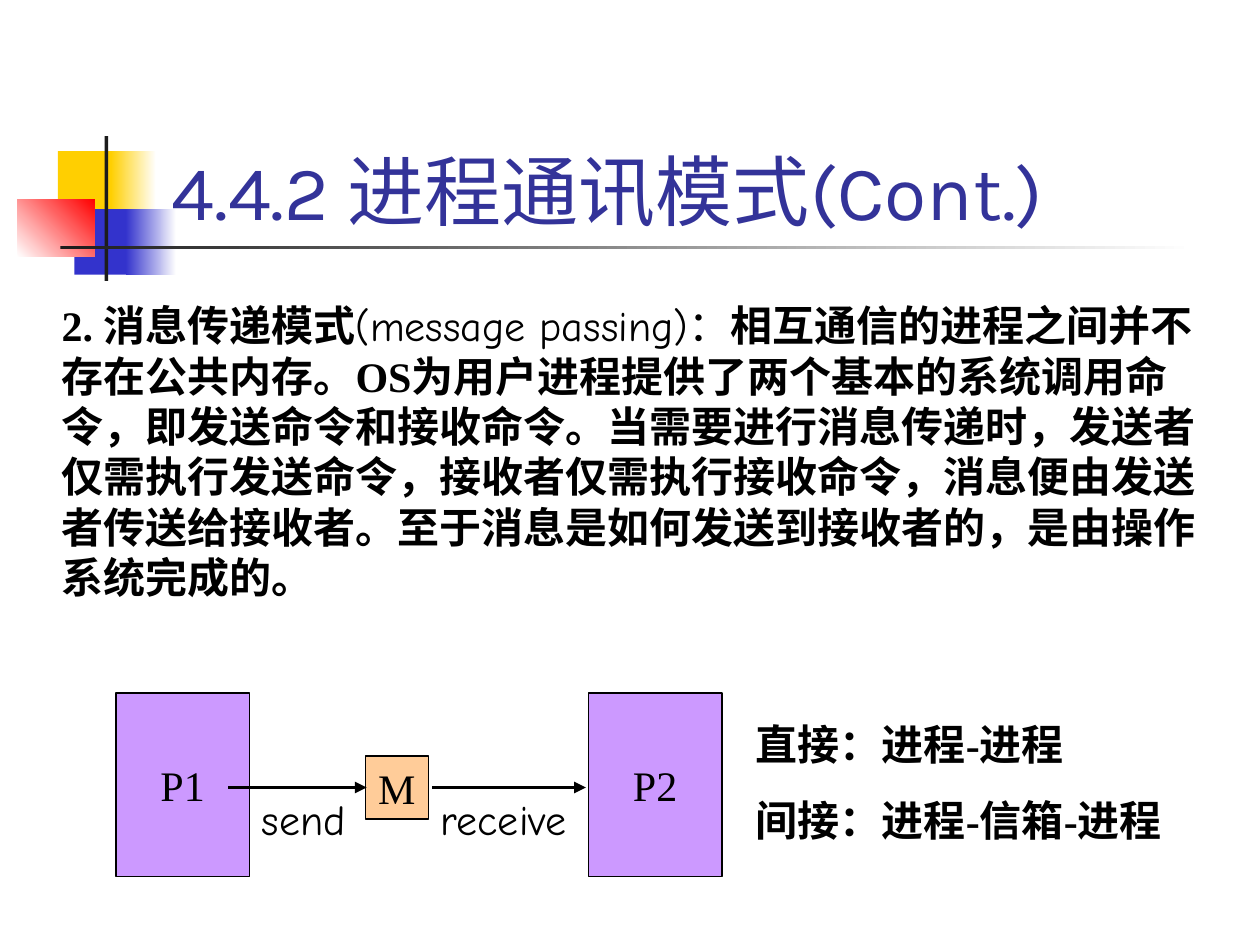
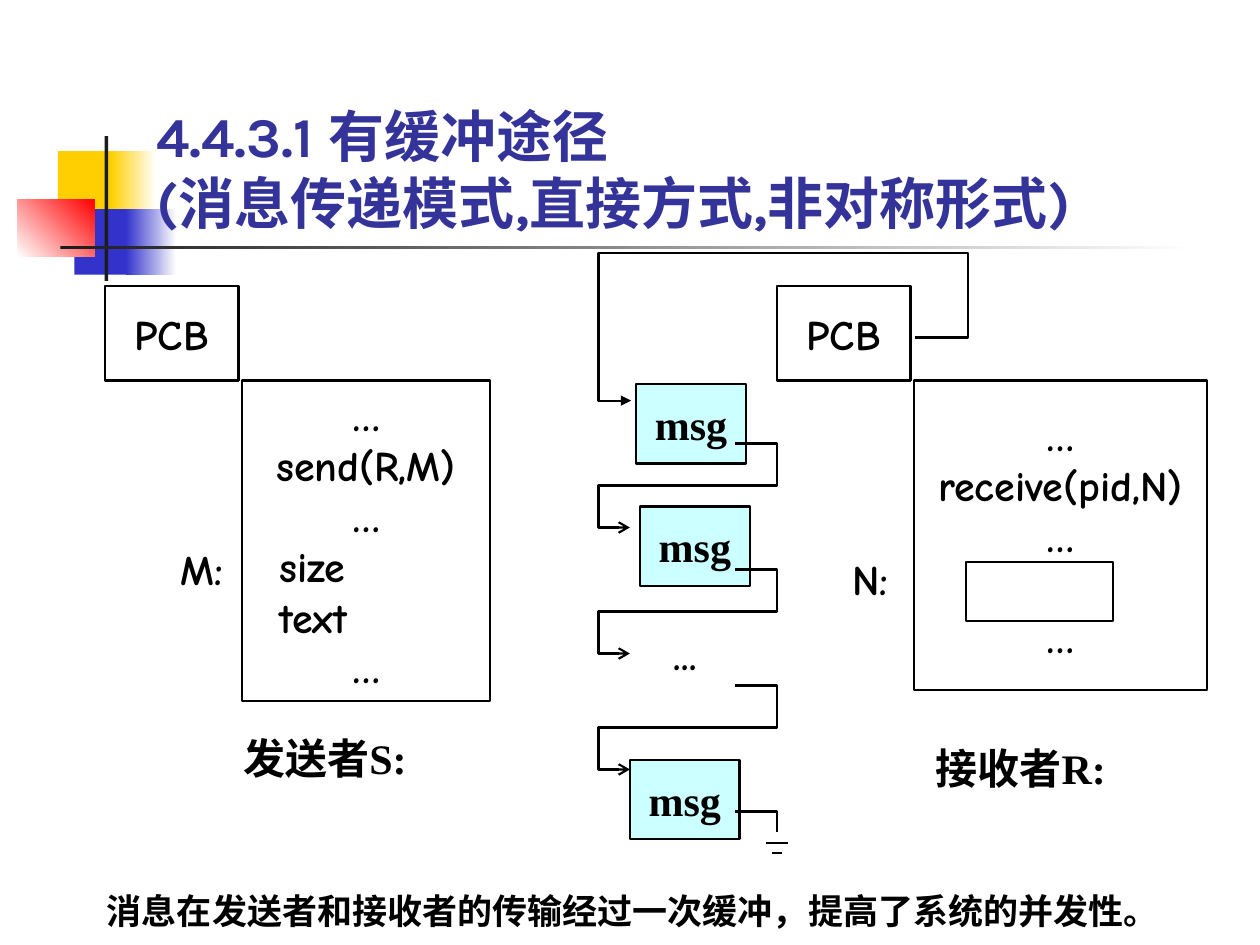
from collections import namedtuple

from lxml.etree import SubElement
from pptx import Presentation
from pptx.dml.color import RGBColor
from pptx.enum.shapes import MSO_CONNECTOR, MSO_SHAPE
from pptx.enum.text import MSO_ANCHOR, MSO_AUTO_SIZE, PP_ALIGN
from pptx.oxml.ns import qn
from pptx.util import Inches, Pt

COLORS = {
    "ink": "000000", "paper": "FFFFFF", "title": "333399", "yellow": "FFCF01",
    "blue": "3333CC", "red": "FF0000", "rule": "1C1C1C", "process": "CC99FF",
    "mailbox": "FFCC99", "message": "CCFFFF",
}
FONTS = {
    "title": {"name": "Karla", "size": Pt(44), "bold": False},
    "subtitle": {"name": "Karla", "size": Pt(32), "bold": True},
    "caption": {"name": "Karla", "size": Pt(20), "bold": True},
    "body": {"name": "Times New Roman", "size": Pt(24), "bold": True},
    "node": {"name": "Times New Roman", "size": Pt(24), "bold": False},
    "label": {"name": "Comic Neue", "size": Pt(24), "bold": False},
    "code": {"name": "Comic Neue", "size": Pt(24), "bold": True},
}
TITLE_FRAME = {"word_wrap": True, "auto_size": MSO_AUTO_SIZE.NONE,
               "vertical_anchor": MSO_ANCHOR.BOTTOM}
TEXT_FRAME = {"word_wrap": True, "vertical_anchor": MSO_ANCHOR.TOP}
NODE_FRAME = {"word_wrap": False, "vertical_anchor": MSO_ANCHOR.MIDDLE}
CELL = Inches(1) / 12
THIN, MEDIUM, THICK = Pt(0.75), Pt(1.25), Pt(2.25)


class Box(namedtuple("Box", "left top width height")):
    """Area measured in grid cells, 120 columns by 90 rows to the slide."""

    def inner(self, column, row, width, height):
        """Return an area placed relative to this one."""
        return Box(self.left + column, self.top + row, width, height)

    def point(self, column, row):
        """Return a position inside this area in slide units."""
        return cells(self.left + column), cells(self.top + row)

    def lengths(self):
        """Return the area in slide units."""
        return [cells(value) for value in self]


BAND = Box(1.68, 12.96, 112, 14)


def cells(count):
    """Convert grid cells to slide units."""
    return round(count * CELL)


def color(name):
    """Look up a named colour."""
    return RGBColor.from_string(COLORS[name])


def apply(target, values):
    """Set every attribute in a dict of format values."""
    for name, value in values.items():
        setattr(target, name, value)


def write(shape, lines, font, frame_format, alignment=PP_ALIGN.LEFT, gap=0, ink="ink"):
    """Fill a shape with lines, each one text or a list of text and font pairs."""
    frame = shape.text_frame
    apply(frame, frame_format)
    for index, line in enumerate(lines):
        para = frame.paragraphs[0] if index == 0 else frame.add_paragraph()
        para.alignment = alignment
        if index and gap:
            para.space_before = Pt(gap)
        for text, style in [(line, font)] if isinstance(line, str) else line:
            span = para.add_run()
            span.text = text
            apply(span.font, FONTS[style])
            span.font.color.rgb = color(ink)


def add_text(page, box, lines, font="body", gap=0):
    """Add a wrapping text box."""
    write(page.shapes.add_textbox(*box.lengths()), lines, font, TEXT_FRAME, gap=gap)


def add_rectangle(page, box, fill, fade=None, angle=0):
    """Add a rectangle without outline, solid or fading to a second colour."""
    shape = page.shapes.add_shape(MSO_SHAPE.RECTANGLE, *box.lengths())
    shape.shadow.inherit = False
    shape.line.fill.background()
    if fade:
        shape.fill.gradient()
        shape.fill.gradient_angle = angle
        for stop, name in zip(shape.fill.gradient_stops, (fill, fade)):
            stop.color.rgb = color(name)
    else:
        shape.fill.solid()
        shape.fill.fore_color.rgb = color(fill)
    return shape


def add_node(page, box, lines=(), fill="paper", font="code", width=MEDIUM):
    """Add an outlined rectangle with centred text."""
    node = add_rectangle(page, box, fill)
    set_line(node, width)
    write(node, lines, font, NODE_FRAME, PP_ALIGN.CENTER)
    return node


def set_line(shape, width, arrow=None):
    """Give a shape a black line and an optional arrowhead at its end."""
    shape.line.color.rgb = color("ink")
    shape.line.width = width
    if arrow:
        SubElement(shape.line._get_or_add_ln(), qn("a:tailEnd"), type=arrow)


def add_line(page, box, start, end, width=MEDIUM, arrow=None):
    """Add a straight line between two points of a box."""
    line = page.shapes.add_connector(
        MSO_CONNECTOR.STRAIGHT, *box.point(*start), *box.point(*end))
    set_line(line, width, arrow)
    SubElement(line._element.spPr, qn("a:effectLst"))


def add_link(page, box, points, arrow=None):
    """Add a bent line through points of a box."""
    start, *rest = [box.point(*point) for point in points]
    builder = page.shapes.build_freeform(*start)
    builder.add_line_segments(rest, close=False)
    link = builder.convert_to_shape()
    link.shadow.inherit = False
    link.fill.background()
    set_line(link, MEDIUM, arrow)


def add_band(page, box):
    """Draw the coloured blocks and rules beside the title."""
    for area, *look in (
        ((3.84, 1.44, 5.76, 6.24), "yellow"),
        ((8.88, 1.44, 4.32, 6.24), "yellow", "paper"),
        ((5.4, 6.96, 5.52, 6.24), "blue"),
        ((10.32, 6.96, 4.8, 6.24), "blue", "paper"),
        ((0, 6, 7.32, 5.52), "paper", "red", 45),
        ((8.28, 0, 0.36, 13.8), "rule"),
        ((4.08, 10.44, 108, 0.36), "rule", "paper"),
    ):
        add_rectangle(page, box.inner(*area), *look)


def add_page(deck, box, lines, font):
    """Add a slide with the band and a title above it."""
    page = deck.slides.add_slide(deck.slide_layouts[5])
    add_band(page, BAND)
    title = page.shapes.title
    apply(title, dict(zip(("left", "top", "width", "height"), box.lengths())))
    write(title, lines, font, TITLE_FRAME, ink="title")
    page.shapes._spTree.append(title._element)
    return page


def add_mailbox_diagram(page, box):
    """Draw two processes passing a message through a mailbox."""
    for column, name in ((0, "P1"), (45, "P2")):
        add_node(page, box.inner(column, 0, 12.72, 17.52), [name], "process", "node", THIN)
    add_node(page, box.inner(23.76, 6, 6, 6), ["M"], "mailbox", "node", THIN)
    for start, end in ((10.68, 23.88), (30.12, 44.76)):
        add_line(page, box, (start, 9), (end, 9), THICK, "triangle")
    for column, width, name in ((12.72, 11.04, "send"), (29.76, 17.04, "receive")):
        add_text(page, box.inner(column, 9, width, 6), [name], "label")


def add_process(page, box, code, label, label_row, name, name_column):
    """Draw a process with its PCB, code, variable label and name."""
    add_node(page, box.inner(0, 0, 12.72, 9), ["PCB"])
    listing = add_node(page, box.inner(13.04, 9, box.width - 13.04, box.height - 9), code)
    listing.text_frame.word_wrap = True
    add_text(page, box.inner(6, label_row, 8, 6), [label], "code")
    add_text(page, box.inner(name_column, label_row + 18, 23, 6), [name])
    return listing.text_frame.paragraphs


def add_sender(page, box):
    """Draw the sending process with its message fields indented."""
    code = ["…", "send(R,M)", "…", "size", "text", "…"]
    paras = add_process(page, box, code, "M:", 23.9, "发送者S:", 12)
    for para in paras[3:5]:
        para.alignment = PP_ALIGN.LEFT
        para._p.get_or_add_pPr().set("marL", str(Inches(0.2)))


def add_receiver(page, box):
    """Draw the receiving process with its empty message area."""
    code = ["…", "receive(pid,N)", "…", "…"]
    paras = add_process(page, box, code, "N:", 24.9, "接收者R:", 13.92)
    paras[-1].space_before = Pt(29)
    add_node(page, box.inner(18, 26.28, 14.04, 5.64))


def add_message_queue(page, box):
    """Draw the chain of buffered messages, ending at a ground sign."""
    for column, row in ((3.6, 12.48), (3.96, 24.12), (3, 48.24)):
        add_node(page, box.inner(column, row, 10.44, 7.56), ["msg"], "message", "body")
    add_link(page, box, [(30.12, 8.04), (35.16, 8.04), (35.16, 0), (0, 0),
                         (0, 14.04), (3.12, 14.04)], "triangle")
    for row in (18.12, 30.12, 41.16):
        add_link(page, box, [(13, row), (17, row), (17, row + 4), (0, row + 4),
                             (0, row + 8), (3, row + 8)], "arrow")
    add_text(page, box.inner(6, 35.16, 7, 6), ["..."], "code")
    add_link(page, box, [(13, 53.16), (17, 53.16), (17, 55.08)])
    for half, row in ((1, 56.16), (0.5, 57.12)):
        add_line(page, box, (17 - half, row), (17 + half, row))


def add_mode_page(deck):
    """Build the slide on message passing."""
    page = add_page(deck, Box(15.12, 8.04, 102.24, 15),
                    ["4.4.2 进程通讯模式(Cont.)"], "title")
    add_text(page, Box(4.68, 27.96, 111.48, 30), [[
        ("2. 消息传递模式", "body"),
        ("(message passing)：", "label"),
        ("相互通信的进程之间并不存在公共内存。OS为用户进程提供了两个基本的系统调用命令，"
         "即发送命令和接收命令。当需要进行消息传递时，发送者仅需执行发送命令，"
         "接收者仅需执行接收命令，消息便由发送者传送给接收者。"
         "至于消息是如何发送到接收者的，是由操作系统完成的。", "body"),
    ]])
    add_mailbox_diagram(page, Box(11.04, 66, 57.72, 17.52))
    add_text(page, Box(70.8, 67.8, 42.96, 18.12),
             ["直接：进程-进程", "间接：进程-信箱-进程"], gap=15)


def add_buffer_page(deck):
    """Build the slide on buffered message passing."""
    page = add_page(deck, Box(13.68, 8.04, 103.68, 15),
                    ["4.4.3.1 有缓冲途径", "(消息传递模式,直接方式,非对称形式)"], "subtitle")
    add_sender(page, Box(10, 27.24, 36.7, 39.5))
    add_receiver(page, Box(74, 27.24, 41, 38.52))
    add_message_queue(page, Box(57, 24.12, 35.16, 57.12))
    add_text(page, Box(9, 84.12, 110, 5.28),
             ["消息在发送者和接收者的传输经过一次缓冲，提高了系统的并发性。"], "caption")


def main():
    """Build and save the deck."""
    deck = Presentation()
    deck.slide_width, deck.slide_height = Inches(10), Inches(7.5)
    add_mode_page(deck)
    add_buffer_page(deck)
    deck.save("out.pptx")


if __name__ == "__main__":
    main()
